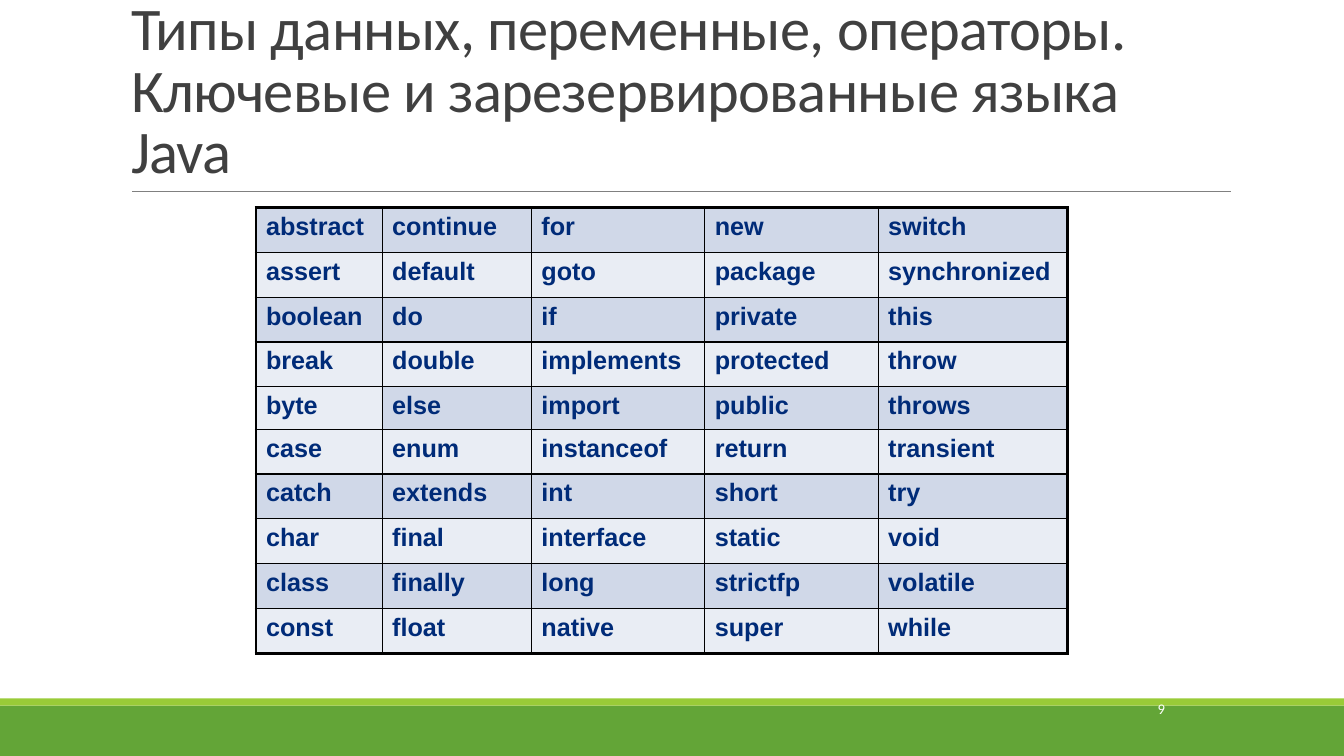
from lxml.etree import SubElement
from pptx import Presentation
from pptx.dml.color import RGBColor
from pptx.enum.shapes import MSO_CONNECTOR, MSO_SHAPE
from pptx.enum.text import MSO_ANCHOR, MSO_AUTO_SIZE, PP_ALIGN
from pptx.oxml import parse_xml
from pptx.oxml.ns import nsdecls, qn
from pptx.util import Cm, Pt

SLIDE_WIDTH = 33.87
SLIDE_HEIGHT = 19.05
TITLE = "Типы данных, переменные, операторы. Ключевые и зарезервированные языка Java"
KEYWORD_ROWS = [
    "abstract continue for new switch",
    "assert default goto package synchronized",
    "boolean do if private this",
    "break double implements protected throw",
    "byte else import public throws",
    "case enum instanceof return transient",
    "catch extends int short try",
    "char final interface static void",
    "class finally long strictfp volatile",
    "const float native super while",
]
COLUMN_WIDTHS = [3.18, 3.76, 4.37, 4.37, 4.78]
ROW_HEIGHT = 1.13
BYTE_ROW_HEIGHT = 1.07
BAND_FILLS = ["D0D8E8", "E9EDF4"]


def color(value):
    return RGBColor.from_string(value)


def format_paragraph(paragraph, name, size, font_color, bold=False, align=PP_ALIGN.LEFT):
    paragraph.alignment = align
    font = paragraph.font
    font.name = name
    font.size = Pt(size)
    font.bold = bold
    font.color.rgb = color(font_color)


def add_bar(slide, top, height, fill):
    shape = slide.shapes.add_shape(
        MSO_SHAPE.RECTANGLE, Cm(0), Cm(top), Cm(SLIDE_WIDTH), Cm(height))
    shape.shadow.inherit = False
    shape.fill.solid()
    shape.fill.fore_color.rgb = color(fill)
    shape.line.fill.background()


def add_rule(slide, left, right, top):
    connector = slide.shapes.add_connector(
        MSO_CONNECTOR.STRAIGHT, Cm(left), Cm(top), Cm(right), Cm(top))
    connector.line.color.rgb = color("808080")
    connector.line.width = Pt(0.5)
    SubElement(connector._element.spPr, qn("a:effectLst"))


def set_title(slide):
    title = slide.shapes.title
    title.left, title.top = Cm(3.05), Cm(0.79)
    title.width, title.height = Cm(27.94), Cm(4.03)
    frame = title.text_frame
    frame.text = TITLE
    frame.word_wrap = True
    frame.auto_size = MSO_AUTO_SIZE.NONE
    frame.vertical_anchor = MSO_ANCHOR.BOTTOM
    paragraph = frame.paragraphs[0]
    paragraph.line_spacing = 0.85
    format_paragraph(paragraph, "Calibri", 43.2, "404040")
    paragraph.runs[0]._r.get_or_add_rPr().set("spc", "-50")


def add_slide_number(slide, number):
    box = slide.shapes.add_textbox(Cm(26.87), Cm(17.35), Cm(2.74), Cm(1.02))
    frame = box.text_frame
    frame.word_wrap = True
    frame.vertical_anchor = MSO_ANCHOR.MIDDLE
    frame.text = number
    format_paragraph(frame.paragraphs[0], "Calibri", 10.5, "FFFFFF", align=PP_ALIGN.RIGHT)


def set_borders(cell, outer_sides):
    properties = cell._tc.get_or_add_tcPr()
    for index, side in enumerate("LRTB"):
        width = Pt(2.25 if side in outer_sides else 1)
        properties.insert(index, parse_xml(
            f'<a:ln{side} {nsdecls("a")} w="{width}"><a:solidFill>'
            f'<a:srgbClr val="000000"/></a:solidFill></a:ln{side}>'))


def add_keyword_table(slide):
    keywords = [line.split() for line in KEYWORD_ROWS]
    last_row, last_column = len(keywords) - 1, len(COLUMN_WIDTHS) - 1
    heights = [BYTE_ROW_HEIGHT if row[0] == "byte" else ROW_HEIGHT for row in keywords]
    table = slide.shapes.add_table(
        len(keywords), len(COLUMN_WIDTHS), Cm(6.45), Cm(5.23),
        Cm(sum(COLUMN_WIDTHS)), Cm(sum(heights))).table
    table.first_row = False
    table.horz_banding = False
    for column, width in zip(table.columns, COLUMN_WIDTHS):
        column.width = Cm(width)
    for row, height in zip(table.rows, heights):
        row.height = Cm(height)
    for row, words in enumerate(keywords):
        for column, word in enumerate(words):
            cell = table.cell(row, column)
            cell.text = word
            format_paragraph(cell.text_frame.paragraphs[0], "Arial", 18, "002B78", bold=True)
            cell.fill.solid()
            band = 1 if word == "byte" else row % 2
            cell.fill.fore_color.rgb = color(BAND_FILLS[band])
            edges = {"L": column == 0, "R": column == last_column,
                     "T": row == 0, "B": row == last_row}
            set_borders(cell, [side for side, is_outer in edges.items() if is_outer])


def main():
    presentation = Presentation()
    presentation.slide_width = Cm(SLIDE_WIDTH)
    presentation.slide_height = Cm(SLIDE_HEIGHT)
    slide = presentation.slides.add_slide(presentation.slide_layouts[5])
    add_bar(slide, 17.78, 1.27, "63A537")
    add_bar(slide, 17.6, 0.18, "99CB38")
    add_rule(slide, 3.33, 31.01, 4.83)
    set_title(slide)
    add_slide_number(slide, "9")
    add_keyword_table(slide)
    presentation.save("out.pptx")


if __name__ == "__main__":
    main()
